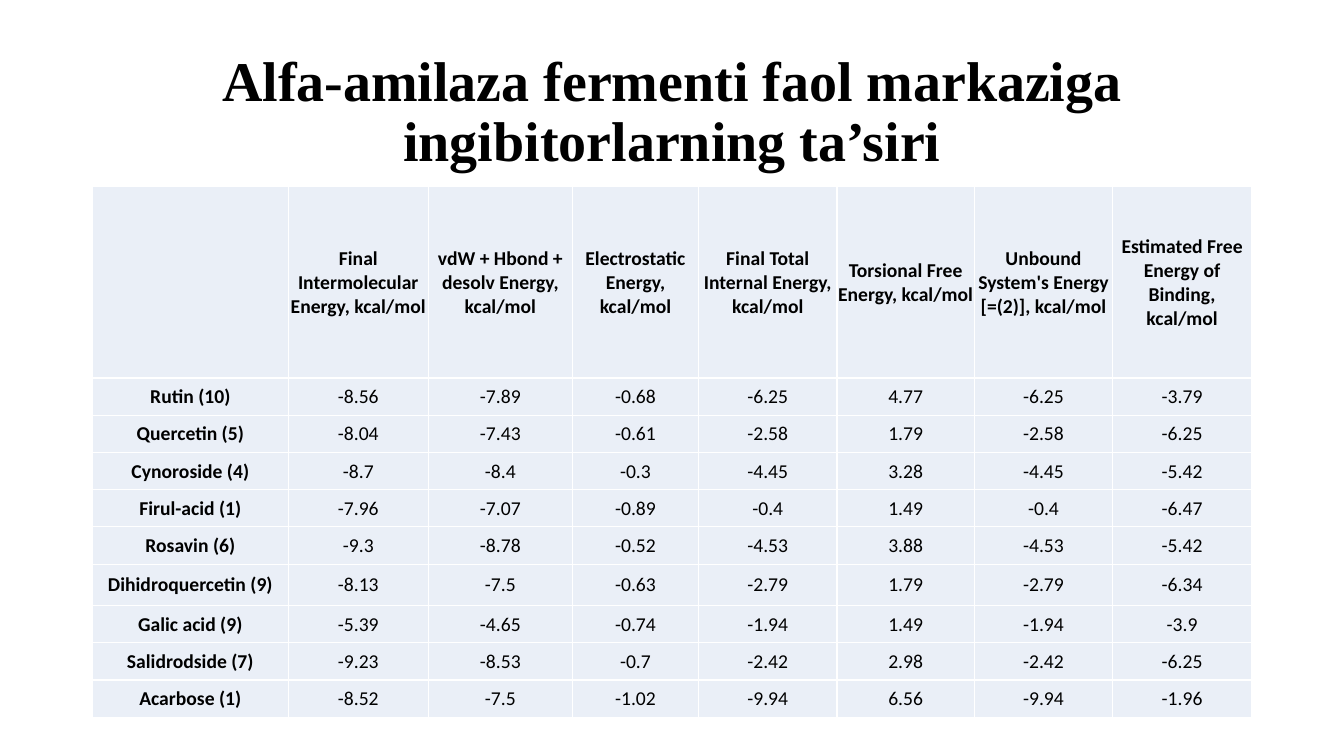
"""Build a slide with a table of inhibitor binding energies for alpha-amylase."""
from lxml.etree import SubElement
from pptx import Presentation
from pptx.dml.color import RGBColor
from pptx.enum.text import MSO_ANCHOR, PP_ALIGN
from pptx.oxml.ns import qn
from pptx.util import Pt

HEADINGS = [
    "",
    "Final Intermolecular Energy, kcal/mol",
    "vdW + Hbond + desolv Energy, kcal/mol",
    "Electrostatic Energy, kcal/mol",
    "Final Total Internal Energy, kcal/mol",
    "Torsional Free Energy, kcal/mol",
    "Unbound System's Energy [=(2)], kcal/mol",
    "Estimated Free Energy of Binding, kcal/mol",
]
ENERGIES = [
    ["Rutin (10)", "-8.56", "-7.89", "-0.68", "-6.25", "4.77", "-6.25", "-3.79"],
    ["Quercetin (5)", "-8.04", "-7.43", "-0.61", "-2.58", "1.79", "-2.58", "-6.25"],
    ["Cynoroside (4)", "-8.7", "-8.4", "-0.3", "-4.45", "3.28", "-4.45", "-5.42"],
    ["Firul-acid (1)", "-7.96", "-7.07", "-0.89", "-0.4", "1.49", "-0.4", "-6.47"],
    ["Rosavin (6)", "-9.3", "-8.78", "-0.52", "-4.53", "3.88", "-4.53", "-5.42"],
    ["Dihidroquercetin (9)", "-8.13", "-7.5", "-0.63", "-2.79", "1.79", "-2.79", "-6.34"],
    ["Galic acid (9)", "-5.39", "-4.65", "-0.74", "-1.94", "1.49", "-1.94", "-3.9"],
    ["Salidrodside (7)", "-9.23", "-8.53", "-0.7", "-2.42", "2.98", "-2.42", "-6.25"],
    ["Acarbose (1)", "-8.52", "-7.5", "-1.02", "-9.94", "6.56", "-9.94", "-1.96"],
]
COLUMN_WIDTHS = [140, 100, 103, 90, 99, 98, 99, 99]
ROW_HEIGHTS = [136.8] + [26.6] * 5 + [29.6] + [26.6] * 3


def color(value):
    return RGBColor.from_string(value)


def write(para, text, font, size, bold):
    para.alignment = PP_ALIGN.CENTER
    span = para.add_run()
    span.text = text
    span.font.name = font
    span.font.size = Pt(size)
    span.font.bold = bold
    span.font.color.rgb = color("000000")


deck = Presentation()
deck.slide_width = Pt(960)
deck.slide_height = Pt(540)
page = deck.slides.add_slide(deck.slide_layouts[6])

title = page.shapes.add_textbox(Pt(66), Pt(28.8), Pt(828), Pt(104.4)).text_frame
title.word_wrap = True
title.vertical_anchor = MSO_ANCHOR.MIDDLE
title.paragraphs[0].line_spacing = 0.9
write(title.paragraphs[0], "Alfa-amilaza fermenti faol markaziga ingibitorlarning ta’siri",
      "Times New Roman", 40, True)

rows = [HEADINGS] + ENERGIES
table = page.shapes.add_table(len(rows), len(HEADINGS), Pt(66), Pt(133.2),
                              Pt(sum(COLUMN_WIDTHS)), Pt(sum(ROW_HEIGHTS))).table
for column, width in zip(table.columns, COLUMN_WIDTHS):
    column.width = Pt(width)
for row, height in zip(table.rows, ROW_HEIGHTS):
    row.height = Pt(height)

for row_index, texts in enumerate(rows):
    for column_index, text in enumerate(texts):
        cell = table.cell(row_index, column_index)
        cell.vertical_anchor = MSO_ANCHOR.MIDDLE
        cell.margin_left = cell.margin_right = cell.margin_top = Pt(0.6)
        cell.margin_bottom = 0
        properties = cell._tc.get_or_add_tcPr()
        for side in ("a:lnL", "a:lnR", "a:lnT", "a:lnB"):
            border = SubElement(properties, qn(side), w=str(Pt(1)))
            SubElement(SubElement(border, qn("a:solidFill")), qn("a:srgbClr"), val="FFFFFF")
        cell.fill.solid()
        cell.fill.fore_color.rgb = color("EAEFF7")
        if text:
            write(cell.text_frame.paragraphs[0], text, "Calibri", 14,
                  row_index == 0 or column_index == 0)

deck.save("out.pptx")
